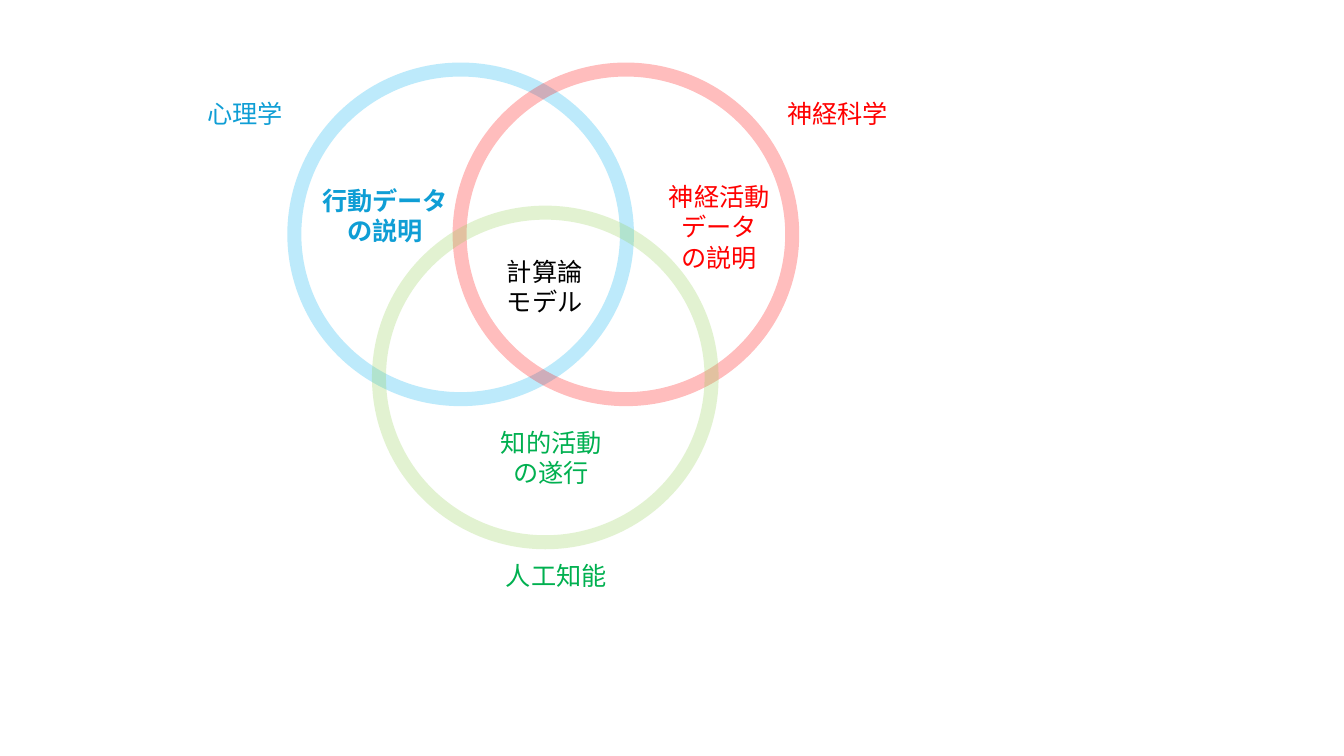
import pptx
import pptx.dml.color
import pptx.enum.shapes
import pptx.enum.text
import pptx.oxml
import pptx.oxml.ns
import pptx.util

Pt = pptx.util.Pt
RGBColor = pptx.dml.color.RGBColor
ALIGN = pptx.enum.text.PP_ALIGN
qn = pptx.oxml.ns.qn

FONT = "Noto Sans CJK JP"
SKY = RGBColor(0x00, 0xB0, 0xF0)
BLUE = RGBColor(0x0F, 0x9E, 0xD5)
RED = RGBColor(0xFF, 0x00, 0x00)
LIME = RGBColor(0x92, 0xD0, 0x50)
GREEN = RGBColor(0x00, 0xB0, 0x50)
BLACK = RGBColor(0x00, 0x00, 0x00)

CIRCLE_WIDTH, CIRCLE_HEIGHT = 237.6, 235.44
RING_WIDTH = 10
RING_OPACITY = 25
LINE_HEIGHT = 21.84


def add_ring(slide, left, top, color):
    """Draw one unfilled, translucent circle of the diagram."""
    ring = slide.shapes.add_shape(
        pptx.enum.shapes.MSO_SHAPE.OVAL,
        Pt(left), Pt(top), Pt(CIRCLE_WIDTH), Pt(CIRCLE_HEIGHT))
    ring.shadow.inherit = False
    ring.fill.background()
    ring.line.color.rgb = color
    ring.line.width = Pt(RING_WIDTH)
    # Line transparency
    stroke = ring.line.fill._xPr.find(".//" + qn("a:srgbClr"))
    alpha = pptx.oxml.parse_xml(
        f'<a:alpha {pptx.oxml.ns.nsdecls("a")} val="{RING_OPACITY * 1000}"/>')
    stroke.append(alpha)


def add_text(slide, text, left, top, width, *, color, lines=None, size=18,
             bold=None, align=None, wrap=False):
    """Place text, one paragraph for each line of the string."""
    paragraphs = text.split("\n")
    height = 7.2 + LINE_HEIGHT * (lines or len(paragraphs))
    label = slide.shapes.add_textbox(Pt(left), Pt(top), Pt(width), Pt(height))
    frame = label.text_frame
    frame.text = text
    frame.word_wrap = wrap
    frame.auto_size = pptx.enum.text.MSO_AUTO_SIZE.SHAPE_TO_FIT_TEXT
    for paragraph in frame.paragraphs:
        paragraph.alignment = align
        for run in paragraph.runs:
            run.font.name = FONT
            run.font.size = Pt(size)
            run.font.bold = bold
            run.font.color.rgb = color
            # East Asian typeface
            run.font._element.append(pptx.oxml.parse_xml(
                f'<a:ea {pptx.oxml.ns.nsdecls("a")} typeface="{FONT}"/>'))


def add_venn(slide, left, top):
    """Build the three-field diagram from its top left corner."""
    # Circles
    for dx, dy, color in ((0, 0, SKY), (118.08, 0, RED), (60.48, 102.24, LIME)):
        add_ring(slide, left + dx, top + dy, color)

    # Names of the fields, outside the circles
    for field, dx, dy, width, color in (
            ("心理学", -69.12, 17.28, 69.12, BLUE),
            ("神経科学", 344.88, 17.28, 87.12, RED),
            ("人工知能", 144, 347.04, 87.12, GREEN)):
        add_text(slide, field, left + dx, top + dy, width, color=color)

    # Shared centre
    add_text(slide, "計算論\nモデル", left + 144.72, top + 129.6, 69.12,
             color=BLACK)

    # Aims of the fields, inside the circles
    add_text(slide, "行動データ\nの説明", left + 12.24, top + 79.2, 105.12,
             color=BLUE, bold=True, align=ALIGN.CENTER)
    add_text(slide, "神経活動\nデータ\nの説明", left + 259.92, top + 76.32, 87.12,
             color=RED, align=ALIGN.CENTER)
    add_text(slide, "知的活動の遂行", left + 135.36, top + 252, 96.48,
             color=GREEN, align=ALIGN.CENTER, lines=2, wrap=True)


def main():
    deck = pptx.Presentation()
    deck.slide_width, deck.slide_height = Pt(960), Pt(540)
    slide = deck.slides.add_slide(deck.slide_layouts[6])
    add_venn(slide, 210.24, 49.68)
    deck.save("out.pptx")


if __name__ == "__main__":
    main()
